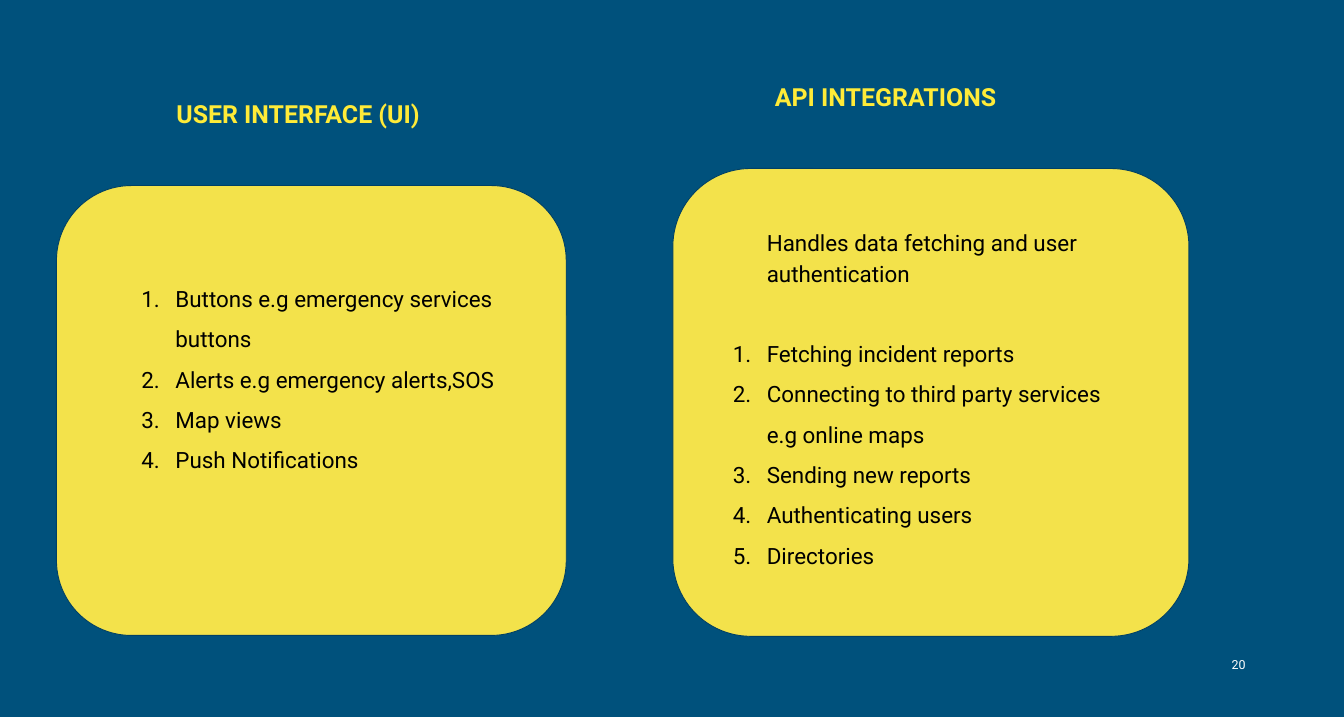
from pptx import Presentation
from pptx.dml.color import RGBColor
from pptx.enum.shapes import MSO_SHAPE
from pptx.enum.text import MSO_ANCHOR, PP_ALIGN
from pptx.oxml.ns import qn
from pptx.util import Inches, Pt
from lxml import etree

ROUND = MSO_SHAPE.ROUNDED_RECTANGLE
TOP, MIDDLE = MSO_ANCHOR.TOP, MSO_ANCHOR.MIDDLE
LEFT, RIGHT = PP_ALIGN.LEFT, PP_ALIGN.RIGHT

BLUE = RGBColor(0x00, 0x51, 0x7C)
NAVY = RGBColor(0x00, 0x40, 0x65)
GOLD = RGBColor(0xF3, 0xE2, 0x4B)
LEMON = RGBColor(0xFF, 0xEB, 0x38)
BLACK = RGBColor(0x00, 0x00, 0x00)
WHITE = RGBColor(0xFF, 0xFF, 0xFF)

FONT = "Roboto"
COLS, ROWS = 150, 80
WIDE, HIGH = Inches(15), Inches(8)
PAD = Inches(0.1)
INDENT, HANG = Inches(0.5), Inches(0.38)

UI_ITEMS = [
    "Buttons e.g emergency services buttons",
    "Alerts e.g emergency alerts,SOS",
    "Map views",
    "Push Notifications",
]
API_INTRO = "Handles data fetching and user authentication"
API_ITEMS = [
    "Fetching incident reports",
    "Connecting to third party services e.g online maps",
    "Sending new reports",
    "Authenticating users",
    "Directories",
]


def place(col, row, cols, rows):
    return (int(WIDE * col / COLS), int(HIGH * row / ROWS),
            int(WIDE * cols / COLS), int(HIGH * rows / ROWS))


def style(para, size, color, bold=False):
    for run in para.runs:
        font = run.font
        font.name, font.size, font.bold = FONT, Pt(size), bold
        font.color.rgb = color


def add_box(slide, area, anchor=TOP):
    frame = slide.shapes.add_textbox(*place(*area)).text_frame
    frame.word_wrap = True
    frame.vertical_anchor = anchor
    frame.margin_left = frame.margin_right = PAD
    frame.margin_top = frame.margin_bottom = PAD
    return frame


def add_label(slide, area, text, size, color, bold=False, align=LEFT, anchor=TOP):
    frame = add_box(slide, area, anchor)
    frame.text = text
    para = frame.paragraphs[0]
    para.alignment = align
    style(para, size, color, bold)


def add_card(slide, area):
    card = slide.shapes.add_shape(ROUND, *place(*area))
    card.shadow.inherit = False
    card.fill.solid()
    card.fill.fore_color.rgb = GOLD
    card.line.color.rgb = NAVY
    card.line.width = Pt(0.75)


def set_number(para):
    props = para._p.get_or_add_pPr()
    props.set("indent", str(-HANG))
    tint = etree.SubElement(props, qn("a:buClr"))
    etree.SubElement(tint, qn("a:srgbClr"), val=str(BLACK))
    etree.SubElement(props, qn("a:buAutoNum"), type="arabicPeriod")


def add_list(slide, area, items, intro=None):
    frame = add_box(slide, area)
    lines = [intro] + items if intro else items
    frame.text = "\n".join(lines)
    for para in frame.paragraphs:
        lead = para.text == intro
        para.line_spacing = 1.15 if lead else 1.5
        para.space_after = Pt(32 if lead else 0)
        para._p.get_or_add_pPr().set("marL", str(INDENT))
        if not lead:
            set_number(para)
        style(para, 18, BLACK)


def main():
    deck = Presentation()
    deck.slide_width, deck.slide_height = WIDE, HIGH
    slide = deck.slides.add_slide(deck.slide_layouts[6])
    slide.background.fill.solid()
    slide.background.fill.fore_color.rgb = BLUE

    add_label(slide, (131, 71.1, 9, 6.1), "20", 10, WHITE,
              align=RIGHT, anchor=MIDDLE)

    add_card(slide, (6.3, 20.7, 56.9, 50.2))
    add_label(slide, (18.7, 10, 49.2, 6.1), "USER INTERFACE (UI)", 20, LEMON, True)
    add_list(slide, (13.6, 29.3, 48.4, 38.6), UI_ITEMS)

    add_card(slide, (75.1, 18.8, 57.6, 52.2))
    add_label(slide, (85.5, 8.1, 52.9, 6.6), "API INTEGRATIONS", 20, LEMON, True)
    add_list(slide, (79.6, 24.1, 46.5, 38.6), API_ITEMS, API_INTRO)

    deck.save("out.pptx")


if __name__ == "__main__":
    main()
